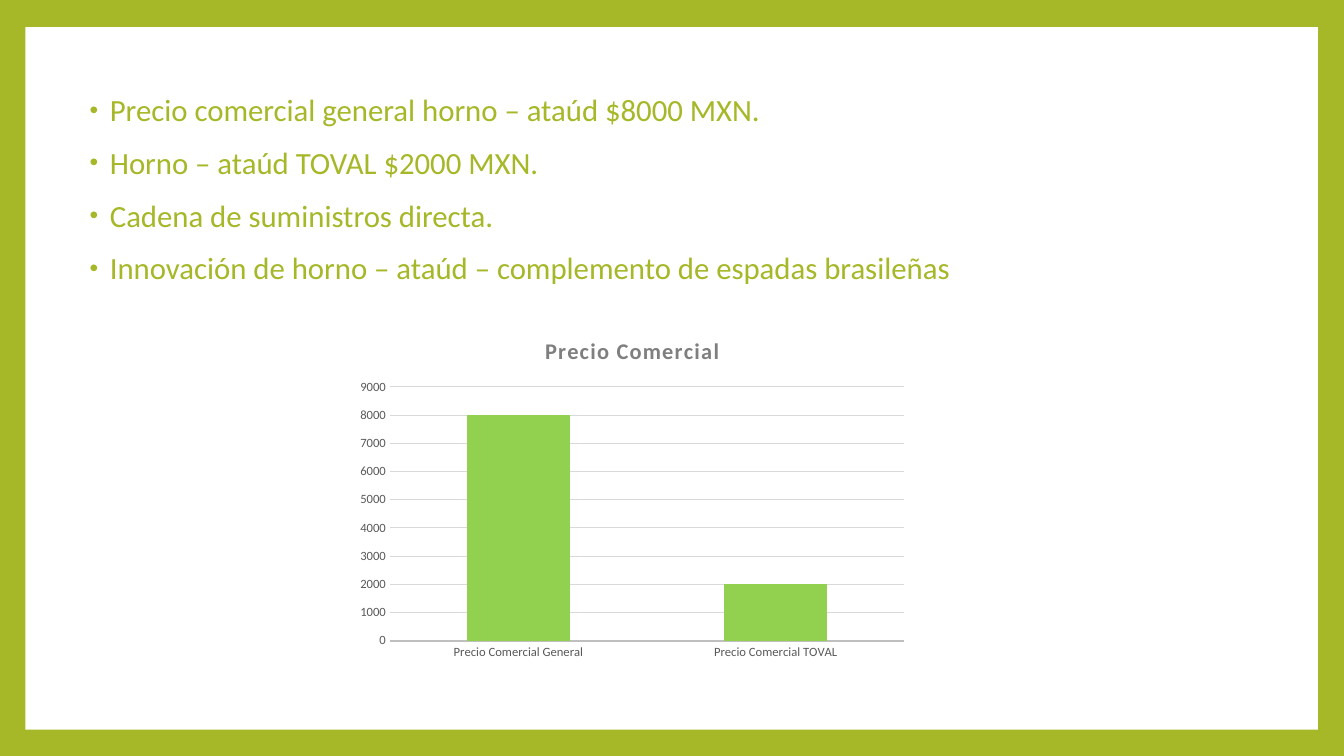
from dataclasses import dataclass

from lxml import etree
from pptx import Presentation
from pptx import util as u
from pptx.chart import data as chart_data
from pptx.dml.color import RGBColor
from pptx.enum import chart as chart_enum
from pptx.enum import shapes, text
from pptx.oxml import ns

GREEN = RGBColor(0xA6, 0xB7, 0x27)
BAR_GREEN = RGBColor(0x92, 0xD0, 0x50)
WHITE = RGBColor(0xFF, 0xFF, 0xFF)
TITLE_GRAY = RGBColor(0x7F, 0x7F, 0x7F)
LABEL_GRAY = RGBColor(0x59, 0x59, 0x59)
AXIS_GRAY = RGBColor(0xBF, 0xBF, 0xBF)
GRID_GRAY = RGBColor(0xD9, 0xD9, 0xD9)
FONT = "Calibri"
SLIDE_WIDTH = u.Inches(13.33)
SLIDE_HEIGHT = u.Inches(7.5)


@dataclass(frozen=True)
class Area:
    """Percentages of the slide's width and height."""

    left: float
    top: float
    width: float
    height: float

    def box(self) -> tuple[int, int, int, int]:
        return (
            round(SLIDE_WIDTH * self.left / 100),
            round(SLIDE_HEIGHT * self.top / 100),
            round(SLIDE_WIDTH * self.width / 100),
            round(SLIDE_HEIGHT * self.height / 100),
        )


@dataclass(frozen=True)
class Price:
    label: str
    amount: int


PANEL_AREA = Area(1.88, 3.6, 96.17, 92.93)
BODY_AREA = Area(5.55, 11.87, 70.52, 76.27)
CHART_AREA = Area(25.96, 42.27, 42.16, 45.87)

POINTS = [
    "Precio comercial general horno – ataúd $8000 MXN.",
    "Horno – ataúd TOVAL $2000 MXN.",
    "Cadena de suministros directa.",
    "Innovación de horno – ataúd – complemento de espadas brasileñas",
]
PRICES = [
    Price("Precio Comercial General", 8000),
    Price("Precio Comercial TOVAL", 2000),
]


def format_font(font, *, size: float, color: RGBColor, bold: bool = False) -> None:
    font.name = FONT
    font.size = u.Pt(size)
    font.bold = bold
    font.color.rgb = color


def write_text(paragraph, content: str, *, size: float, color: RGBColor,
               bold: bool = False, spacing: int = 0) -> None:
    run = paragraph.add_run()
    run.text = content
    format_font(run.font, size=size, color=color, bold=bold)
    if spacing:
        run.font._element.set("spc", str(spacing))


def add_bullet(paragraph) -> None:
    paragraph.line_spacing = 0.9
    paragraph.space_before = u.Pt(14)
    paragraph.space_after = u.Pt(0)
    properties = paragraph._p.get_or_add_pPr()
    properties.set("marL", str(u.Inches(0.25)))
    properties.set("indent", str(-u.Inches(0.2)))
    color = etree.SubElement(properties, ns.qn("a:buClr"))
    etree.SubElement(color, ns.qn("a:srgbClr"), val=str(GREEN))
    etree.SubElement(properties, ns.qn("a:buSzPct"), val="80000")
    etree.SubElement(properties, ns.qn("a:buFont"), typeface="Arial")
    etree.SubElement(properties, ns.qn("a:buChar"), char="•")


def add_panel(slide):
    panel = slide.shapes.add_shape(shapes.MSO_SHAPE.RECTANGLE, *PANEL_AREA.box())
    panel.shadow.inherit = False
    panel.fill.solid()
    panel.fill.fore_color.rgb = WHITE
    panel.line.fill.background()
    return panel


def fill_body(body) -> None:
    body.left, body.top, body.width, body.height = BODY_AREA.box()
    frame = body.text_frame
    frame.auto_size = text.MSO_AUTO_SIZE.NONE
    for index, point in enumerate(POINTS):
        paragraph = frame.add_paragraph() if index else frame.paragraphs[0]
        add_bullet(paragraph)
        write_text(paragraph, point, size=22, color=GREEN)


def format_axis(axis) -> None:
    axis.major_tick_mark = chart_enum.XL_TICK_MARK.NONE
    axis.minor_tick_mark = chart_enum.XL_TICK_MARK.NONE
    format_font(axis.tick_labels.font, size=9, color=LABEL_GRAY)


def add_price_chart(slide) -> None:
    prices = chart_data.CategoryChartData()
    prices.categories = [price.label for price in PRICES]
    prices.add_series("Series 1", [price.amount for price in PRICES])
    chart = slide.shapes.add_chart(
        chart_enum.XL_CHART_TYPE.COLUMN_STACKED, *CHART_AREA.box(), prices
    ).chart
    chart.font.name = FONT
    chart.font.size = u.Pt(10)
    chart.has_legend = False
    chart.has_title = True
    write_text(chart.chart_title.text_frame.paragraphs[0], "Precio Comercial",
               size=16, color=TITLE_GRAY, bold=True, spacing=100)
    chart.chart_title.include_in_layout = False

    plot = chart.plots[0]
    plot.vary_by_categories = False
    plot.gap_width = 150
    plot.overlap = 100
    fill = plot.series[0].format.fill
    fill.solid()
    fill.fore_color.rgb = BAR_GREEN

    format_axis(chart.category_axis)
    axis_line = chart.category_axis.format.line
    axis_line.color.rgb = AXIS_GRAY
    axis_line.width = u.Pt(1.5)

    value_axis = chart.value_axis
    format_axis(value_axis)
    value_axis.minimum_scale = 0
    value_axis.maximum_scale = 9000
    value_axis.major_unit = 1000
    value_axis.format.line.fill.background()
    value_axis.has_major_gridlines = True
    grid_line = value_axis.major_gridlines.format.line
    grid_line.color.rgb = GRID_GRAY
    grid_line.width = u.Pt(0.75)


def main() -> None:
    presentation = Presentation()
    presentation.slide_width = SLIDE_WIDTH
    presentation.slide_height = SLIDE_HEIGHT
    slide = presentation.slides.add_slide(presentation.slide_layouts[1])
    slide.background.fill.solid()
    slide.background.fill.fore_color.rgb = GREEN

    title = slide.shapes.title.element
    title.getparent().remove(title)
    body = slide.placeholders[1]
    body.element.addprevious(add_panel(slide).element)
    fill_body(body)
    add_price_chart(slide)
    presentation.save("out.pptx")


if __name__ == "__main__":
    main()
